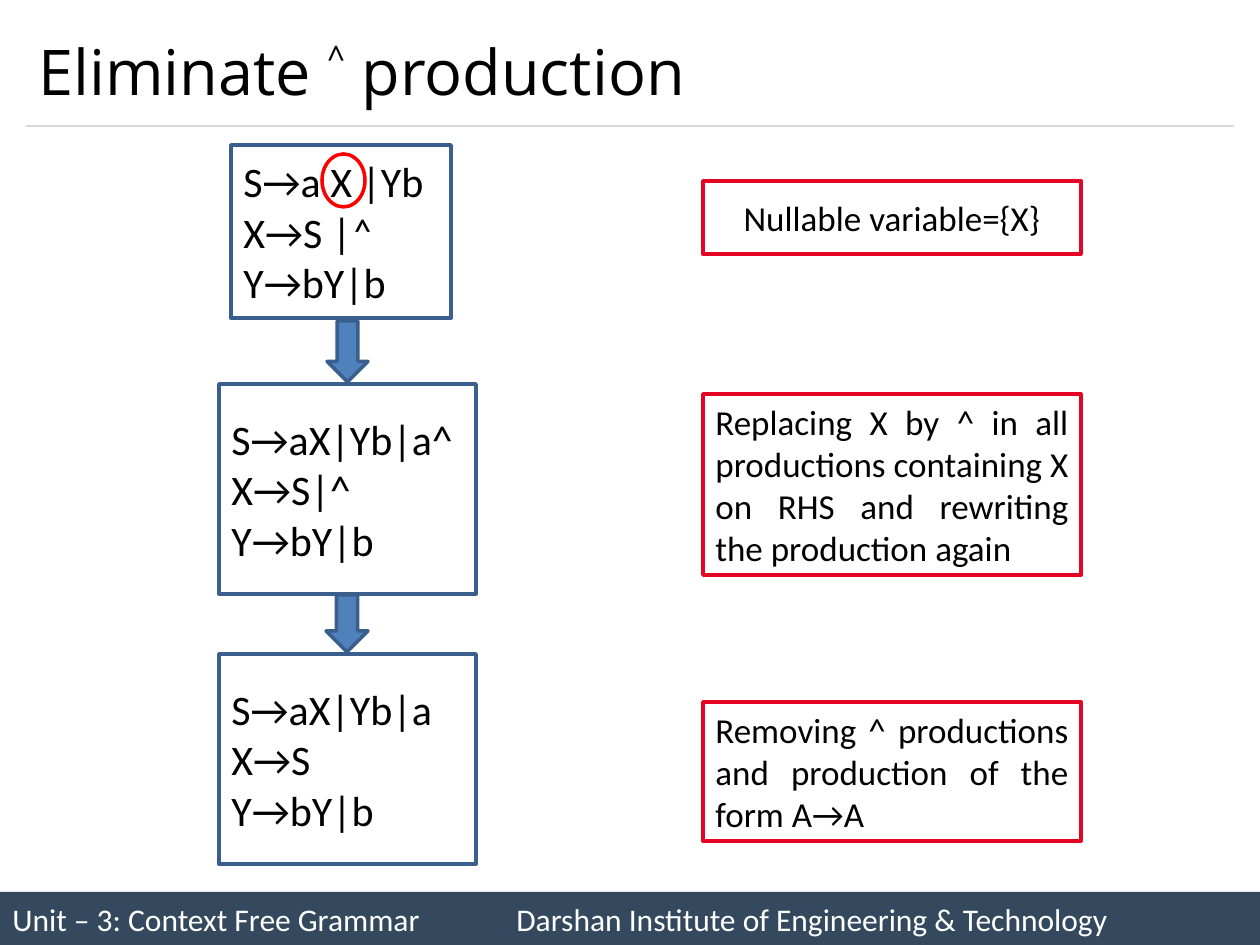
from dataclasses import dataclass

from lxml.etree import SubElement
from pptx import Presentation
from pptx.dml.color import RGBColor
from pptx.enum.shapes import MSO_CONNECTOR, MSO_SHAPE
from pptx.enum.text import MSO_ANCHOR, MSO_AUTO_SIZE, PP_ALIGN
from pptx.oxml.ns import qn
from pptx.util import Emu, Pt

PIXEL = 914400 / 126
COLORS = {
    "footer": "34495E",
    "rule": "D9D9D9",
    "outline": "3A5F8C",
    "arrow": "4F81BD",
    "note": "E40524",
    "mark": "FF0000",
    "text": "000000",
    "light": "FFFFFF",
}


@dataclass(frozen=True)
class Frame:
    left: int
    top: int
    width: int
    height: int


@dataclass(frozen=True)
class Grammar:
    frame: Frame
    productions: tuple[str, ...]


@dataclass(frozen=True)
class Note:
    top: int
    height: int
    text: str
    alignment: PP_ALIGN = PP_ALIGN.JUSTIFY


GRAMMARS = (
    Grammar(Frame(231, 145, 220, 173), ("S→a X |Yb", "X→S |˄", "Y→bY|b")),
    Grammar(Frame(219, 384, 257, 210), ("S→aX|Yb|a^", "X→S|^", "Y→bY|b")),
    Grammar(Frame(219, 654, 257, 210), ("S→aX|Yb|a", "X→S", "Y→bY|b")),
)
NOTES = (
    Note(181, 73, "Nullable variable={X}", PP_ALIGN.CENTER),
    Note(394, 181, "Replacing X by ^ in all productions containing X on RHS "
                   "and rewriting the production again"),
    Note(702, 139, "Removing ^ productions and production of the form A→A"),
)
ARROWS = (Frame(327, 321, 41, 61), Frame(326, 595, 42, 57))


def px(value: int) -> Emu:
    return Emu(round(value * PIXEL))


def color(name: str) -> RGBColor:
    return RGBColor.from_string(COLORS[name])


def write_text(shape, *lines: str, size: int, font: str = "Calibri",
               ink: str = "text", alignment: PP_ALIGN = PP_ALIGN.LEFT) -> None:
    text_frame = shape.text_frame
    text_frame.word_wrap = True
    text_frame.auto_size = MSO_AUTO_SIZE.NONE
    text_frame.vertical_anchor = MSO_ANCHOR.MIDDLE
    for index, line in enumerate(lines):
        paragraph = text_frame.add_paragraph() if index else text_frame.paragraphs[0]
        paragraph.alignment = alignment
        run = paragraph.add_run()
        run.text = line
        run.font.name = font
        run.font.size = Pt(size)
        run.font.color.rgb = color(ink)


def add_box(slide, frame: Frame, kind: MSO_SHAPE = MSO_SHAPE.RECTANGLE,
            fill: str | None = None, line: str | None = None):
    shape = slide.shapes.add_shape(
        kind, px(frame.left), px(frame.top), px(frame.width), px(frame.height))
    shape.shadow.inherit = False
    if fill:
        shape.fill.solid()
        shape.fill.fore_color.rgb = color(fill)
    else:
        shape.fill.background()
    if line:
        shape.line.color.rgb = color(line)
        shape.line.width = Pt(2)
    else:
        shape.line.fill.background()
    return shape


def add_rule(slide, left: int, right: int, top: int) -> None:
    rule = slide.shapes.add_connector(
        MSO_CONNECTOR.STRAIGHT, px(left), px(top), px(right), px(top))
    rule.line.color.rgb = color("rule")
    rule.line.width = Pt(0.75)
    SubElement(rule._element.spPr, qn("a:effectLst"))


def add_title(slide, frame: Frame, text: str) -> None:
    title = slide.shapes.title
    title.left, title.top = px(frame.left), px(frame.top)
    title.width, title.height = px(frame.width), px(frame.height)
    write_text(title, text, size=36, font="Open Sans")


def main() -> None:
    presentation = Presentation()
    presentation.slide_width, presentation.slide_height = px(1260), px(945)
    slide = presentation.slides.add_slide(presentation.slide_layouts[5])

    footer = add_box(slide, Frame(0, 892, 1260, 53), fill="footer")
    write_text(
        footer,
        "Unit – 3: Context Free Grammar\t\tDarshan Institute of Engineering & Technology",
        size=18, ink="light")
    add_rule(slide, 26, 1234, 126)
    add_title(slide, Frame(26, 15, 1208, 111), "Eliminate ˄ production")

    for grammar in GRAMMARS:
        box = add_box(slide, grammar.frame, line="outline")
        write_text(box, *grammar.productions, size=24)
    for note in NOTES:
        box = add_box(slide, Frame(703, note.top, 378, note.height), line="note")
        write_text(box, note.text, size=20, alignment=note.alignment)
    for frame in ARROWS:
        add_box(slide, frame, MSO_SHAPE.DOWN_ARROW, fill="arrow", line="outline")
    add_box(slide, Frame(322, 154, 43, 53), MSO_SHAPE.OVAL, line="mark")

    presentation.save("out.pptx")


if __name__ == "__main__":
    main()
